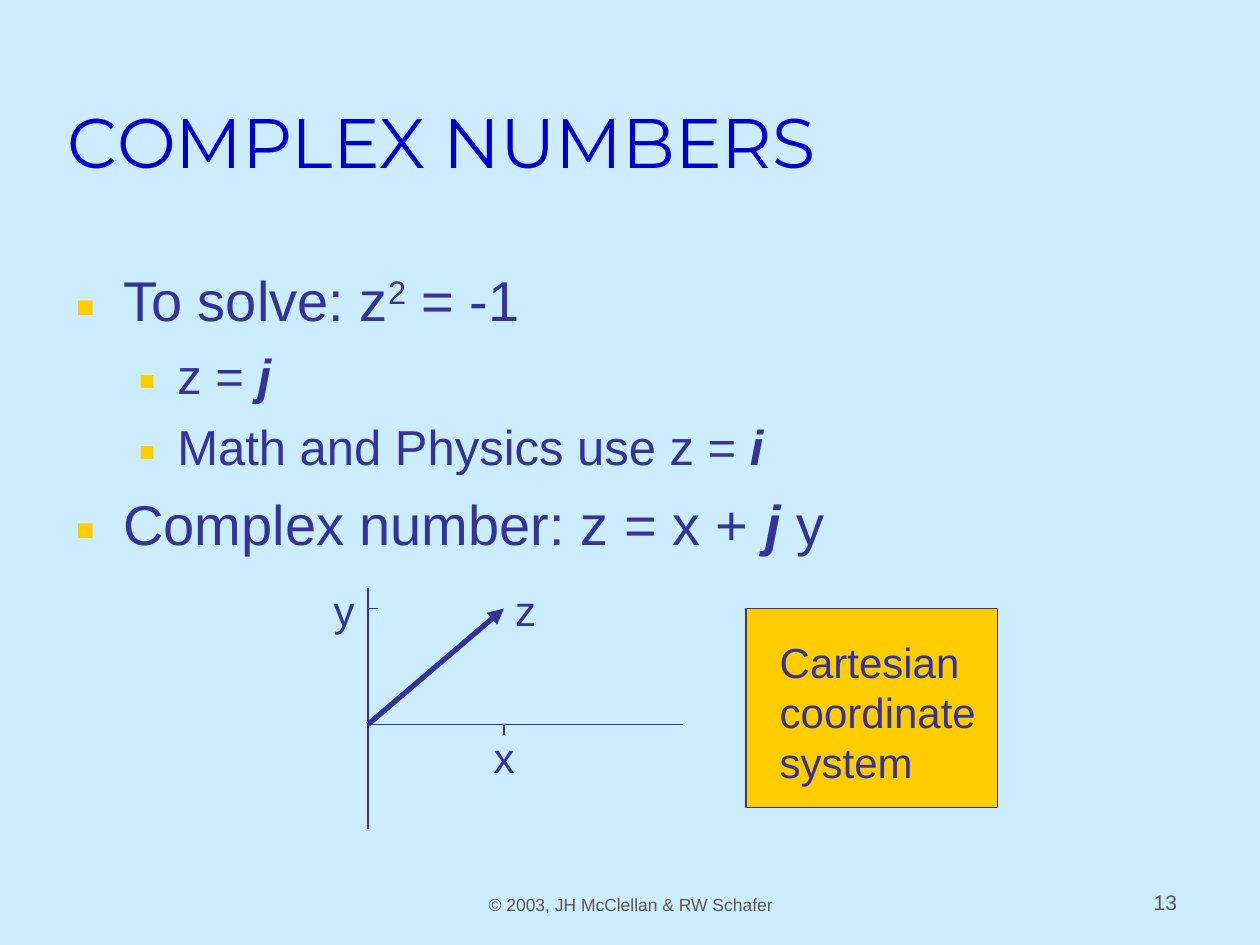
"""Build the complex numbers slide: title, bullets and a vector in the plane."""
from typing import NamedTuple

from lxml import etree
from pptx import Presentation
from pptx import util as u
from pptx.dml.color import RGBColor
from pptx.enum import shapes, text
from pptx.oxml.ns import qn

SKY, BLUE, INDIGO, GOLD, GREY = "CCECFF", "0000CC", "333399", "FFCC00", "5E574E"
ORIGIN, POINT = (2.92, 5.75), (4, 4.83)
AXIS_RIGHT, AXIS_TOP, AXIS_BOTTOM, TICK = 5.42, 4.67, 6.58, 0.08


class Run(NamedTuple):
    text: str
    strong: bool = False
    raised: bool = False


class Level(NamedTuple):
    size: float
    margin: float
    hanging: float
    before: float


class Bullet(NamedTuple):
    level: Level
    runs: list[Run]


class Line(NamedTuple):
    start: tuple[float, float]
    end: tuple[float, float]
    width: float = 0.75
    arrow: bool = False


class Label(NamedTuple):
    text: str
    left: float
    top: float
    width: float = 0.36
    height: float = 0.5


MAIN, SUB = Level(32, 0.38, 0.38, 8), Level(28, 0.81, 0.31, 7)
BULLETS = [
    Bullet(MAIN, [Run("To solve: z"), Run("2", raised=True), Run(" = -1")]),
    Bullet(SUB, [Run("z = "), Run("j", strong=True)]),
    Bullet(SUB, [Run("Math and Physics use z = "), Run("i", strong=True)]),
    Bullet(MAIN, [Run("Complex number: z = x + "), Run("j ", strong=True), Run("y")]),
]
LINES = [
    Line(ORIGIN, POINT, 3, True),
    Line(ORIGIN, (AXIS_RIGHT, ORIGIN[1])),
    Line((ORIGIN[0], AXIS_TOP), (ORIGIN[0], AXIS_BOTTOM)),
    Line((POINT[0], ORIGIN[1]), (POINT[0], ORIGIN[1] + TICK)),
    Line((ORIGIN[0], POINT[1]), (ORIGIN[0] + TICK, POINT[1])),
]
LABELS = [
    Label("x", 3.82, 5.76),
    Label("y", 2.55, 4.59),
    Label("z", 3.99, 4.59),
    Label("Cartesian\ncoordinate\nsystem", 6.09, 5, 1.8, 1.3),
]


def rgb(value: str) -> RGBColor:
    """Turn a hex string into a colour."""
    return RGBColor.from_string(value)


def add_frame(s, left: float, top: float, width: float, height: float,
              anchor=text.MSO_ANCHOR.TOP, wrap: bool = True):
    """Add a text box and return its text frame."""
    sp = s.shapes.add_textbox(*map(u.Inches, (left, top, width, height)))
    tf = sp.text_frame
    tf.word_wrap = wrap
    tf.vertical_anchor = anchor
    fit = text.MSO_AUTO_SIZE
    tf.auto_size = fit.NONE if wrap else fit.SHAPE_TO_FIT_TEXT
    return tf


def add_run(p, content: str, size: float = 24, color: str = INDIGO,
            font: str = "Arial", strong: bool = False, raised: bool = False):
    """Append a formatted run to a paragraph."""
    r = p.add_run()
    r.text = content
    r.font.size = u.Pt(size)
    r.font.name = font
    r.font.color.rgb = rgb(color)
    r.font.bold = r.font.italic = strong
    if raised:
        r.font._element.set("baseline", "30000")


def add_text(s, content: str, box: tuple, anchor=text.MSO_ANCHOR.TOP,
             align=text.PP_ALIGN.LEFT, wrap: bool = True, **style):
    """Add a text box with one paragraph per line of text."""
    tf = add_frame(s, *box, anchor=anchor, wrap=wrap)
    for i, line in enumerate(content.split("\n")):
        p = tf.add_paragraph() if i else tf.paragraphs[0]
        p.alignment = align
        add_run(p, line, **style)


def add_bullets(s, bullets: list[Bullet], box: tuple):
    """Add a list with gold square bullets."""
    tf = add_frame(s, *box)
    for i, (level, runs) in enumerate(bullets):
        p = tf.add_paragraph() if i else tf.paragraphs[0]
        p.level = 1 if level is SUB else 0
        p.space_before = u.Pt(level.before if i else 0)
        props = p._p.get_or_add_pPr()
        props.set("marL", str(u.Inches(level.margin)))
        props.set("indent", str(-u.Inches(level.hanging)))
        color = etree.SubElement(props, qn("a:buClr"))
        etree.SubElement(color, qn("a:srgbClr"), val=GOLD)
        etree.SubElement(props, qn("a:buSzPct"), val="90000")
        etree.SubElement(props, qn("a:buFont"), typeface="Noto Sans Symbols")
        etree.SubElement(props, qn("a:buChar"), char="▪")
        for run in runs:
            add_run(p, run.text, size=level.size, strong=run.strong, raised=run.raised)


def add_line(s, line: Line):
    """Draw a straight line, with an arrowhead at its end if asked."""
    ends = map(u.Inches, (*line.start, *line.end))
    cxn = s.shapes.add_connector(shapes.MSO_CONNECTOR.STRAIGHT, *ends)
    cxn.line.width = u.Pt(line.width)
    cxn.line.color.rgb = rgb(INDIGO)
    if line.arrow:
        etree.SubElement(cxn.line._get_or_add_ln(), qn("a:tailEnd"), type="triangle")
    etree.SubElement(cxn._element.spPr, qn("a:effectLst"))


def add_panel(s, left: float, top: float, width: float, height: float):
    """Draw the gold panel behind the caption."""
    box = map(u.Inches, (left, top, width, height))
    sp = s.shapes.add_shape(shapes.MSO_SHAPE.RECTANGLE, *box)
    sp.shadow.inherit = False
    sp.fill.solid()
    sp.fill.fore_color.rgb = rgb(GOLD)
    sp.line.color.rgb = rgb(INDIGO)
    sp.line.width = u.Pt(0.75)


def main():
    """Build and save the slide."""
    prs = Presentation()
    prs.slide_width, prs.slide_height = u.Inches(10), u.Inches(7.5)
    s = prs.slides.add_slide(prs.slide_layouts[6])
    s.background.fill.solid()
    s.background.fill.fore_color.rgb = rgb(SKY)

    bottom, align = text.MSO_ANCHOR.BOTTOM, text.PP_ALIGN
    add_text(s, "© 2003, JH McClellan & RW Schafer", (3.42, 6.81, 3.17, 0.5),
             bottom, align.CENTER, size=10, color=GREY)
    add_text(s, "13", (7.36, 6.81, 2.08, 0.5), bottom, align.RIGHT, size=12, color=GREY)
    add_text(s, "COMPLEX NUMBERS", (0.44, 0.25, 8.5, 1.25), bottom,
             size=40, color=BLUE, font="Montserrat")
    add_bullets(s, BULLETS, (0.5, 2.06, 8.94, 4.56))
    for line in LINES:
        add_line(s, line)
    add_panel(s, 5.92, 4.83, 2, 1.58)
    for label in LABELS:
        add_text(s, label.text, label[1:], wrap=False)
    prs.save("out.pptx")


if __name__ == "__main__":
    main()
